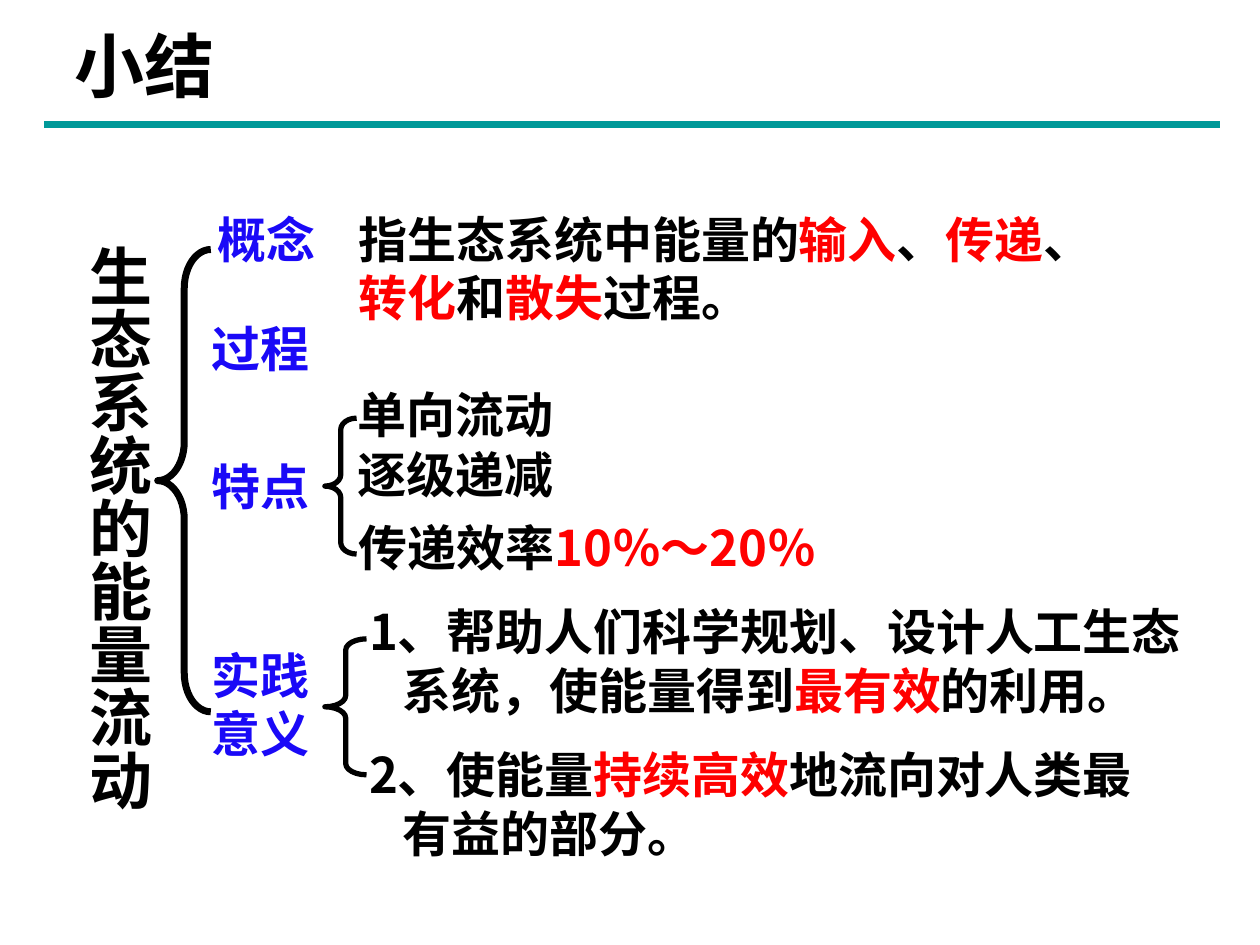
from lxml.etree import SubElement
from pptx import Presentation
from pptx.dml.color import RGBColor
from pptx.enum.shapes import MSO_CONNECTOR, MSO_SHAPE
from pptx.enum.text import MSO_ANCHOR, MSO_AUTO_SIZE, PP_ALIGN
from pptx.oxml.ns import qn
from pptx.util import Cm, Pt

FONT = "Noto Sans CJK SC"
HUES = {"ink": "000000", "key": "FF0000", "head": "1A09F7", "rule": "009999"}

TITLE = "小结"
TOPIC = "生态系统的能量流动"
HEADS = [
    (4.14, 4.09, 3.05, ["概念"]),
    (4.01, 6.3, 3.81, ["过程"]),
    (4.01, 9.07, 3.73, ["特点"]),
    (4.01, 12.88, 4.7, ["实践", "意义"]),
]
# Text between bars is set in the key colour.
NOTES = [
    (6.98, 4.09, 17.35, 0, ["指生态系统中能量的|输入|、|传递|、", "|转化|和|散失|过程。"]),
    (6.96, 7.62, 13.77, 0, ["单向流动"]),
    (6.96, 8.84, 8.05, 0, ["逐级递减"]),
    (6.98, 10.31, 13.54, 0, ["传递效率|10％～20％"]),
    (7.19, 12.01, 18.42, 0.68,
     ["1、帮助人们科学规划、设计人工生态", "系统，使能量得到|最有效|的利用。"]),
    (7.19, 14.88, 17.58, 0.68, ["2、使能量|持续高效|地流向对人类最", "有益的部分。"]),
]
BRACES = [
    (3.18, 5.03, 1.07, 9.32, 0.73, 4),
    (6.55, 8.43, 0.64, 2.74, 0.36, 3),
    (6.55, 12.88, 0.84, 2.74, 0.27, 3),
]


def tint(hue):
    return RGBColor.from_string(HUES[hue])


def add_run(para, text, size, hue):
    run = para.add_run()
    run.text = text
    font = run.font
    font.size, font.bold, font.name = Pt(size), True, FONT
    font.color.rgb = tint(hue)
    SubElement(font._element, qn("a:ea")).set("typeface", FONT)


def add_text(slide, x, y, wide, lines, hue="ink", dent=0):
    high = 1.45 + 1.17 * (len(lines) - 1)
    frame = slide.shapes.add_textbox(Cm(x), Cm(y), Cm(wide), Cm(high)).text_frame
    frame.word_wrap = True
    frame.auto_size = MSO_AUTO_SIZE.SHAPE_TO_FIT_TEXT
    for i, line in enumerate(lines):
        para = frame.paragraphs[0] if i == 0 else frame.add_paragraph()
        if i and dent:
            para._p.get_or_add_pPr().set("marL", str(Cm(dent)))
        for j, part in enumerate(line.split("|")):
            if part:
                add_run(para, part, 28, "key" if j % 2 else hue)


def add_title(slide):
    title = slide.shapes.title
    title.left, title.top, title.width, title.height = Cm(1.09), Cm(0.51), Cm(6.81), Cm(1.8)
    frame = title.text_frame
    frame.vertical_anchor = MSO_ANCHOR.TOP
    frame.auto_size = MSO_AUTO_SIZE.NONE
    para = frame.paragraphs[0]
    para._p.get_or_add_pPr().set("marL", str(Cm(0.15)))
    para.alignment = PP_ALIGN.LEFT
    para.line_spacing = 0.9
    add_run(para, TITLE, 40, "ink")


def add_rule(slide):
    rule = slide.shapes.add_connector(
        MSO_CONNECTOR.STRAIGHT, Cm(0.89), Cm(2.51), Cm(24.59), Cm(2.51))
    rule.line.color.rgb = tint("rule")
    rule.line.width = Pt(4)
    SubElement(rule._element.spPr, qn("a:effectLst"))


def add_topic(slide):
    frame = slide.shapes.add_textbox(Cm(1.22), Cm(4.7), Cm(2.06), Cm(11.79)).text_frame
    frame.word_wrap = False
    frame.auto_size = MSO_AUTO_SIZE.SHAPE_TO_FIT_TEXT
    frame._txBody.bodyPr.set("vert", "eaVert")
    add_run(frame.paragraphs[0], TOPIC, 36, "ink")


def add_brace(slide, x, y, wide, high, bend, weight):
    brace = slide.shapes.add_shape(
        MSO_SHAPE.LEFT_BRACE, Cm(x), Cm(y), Cm(wide), Cm(high))
    brace.adjustments[0] = bend
    brace.shadow.inherit = False
    brace.fill.background()
    brace.line.color.rgb = tint("ink")
    brace.line.width = Pt(weight)


def main():
    deck = Presentation()
    deck.slide_width, deck.slide_height = Cm(25.4), Cm(19.05)
    slide = deck.slides.add_slide(deck.slide_layouts[5])
    add_rule(slide)
    add_title(slide)
    add_topic(slide)
    for x, y, wide, lines in HEADS:
        add_text(slide, x, y, wide, lines, "head")
    for x, y, wide, dent, lines in NOTES:
        add_text(slide, x, y, wide, lines, dent=dent)
    for brace in BRACES:
        add_brace(slide, *brace)
    deck.save("out.pptx")


if __name__ == "__main__":
    main()
